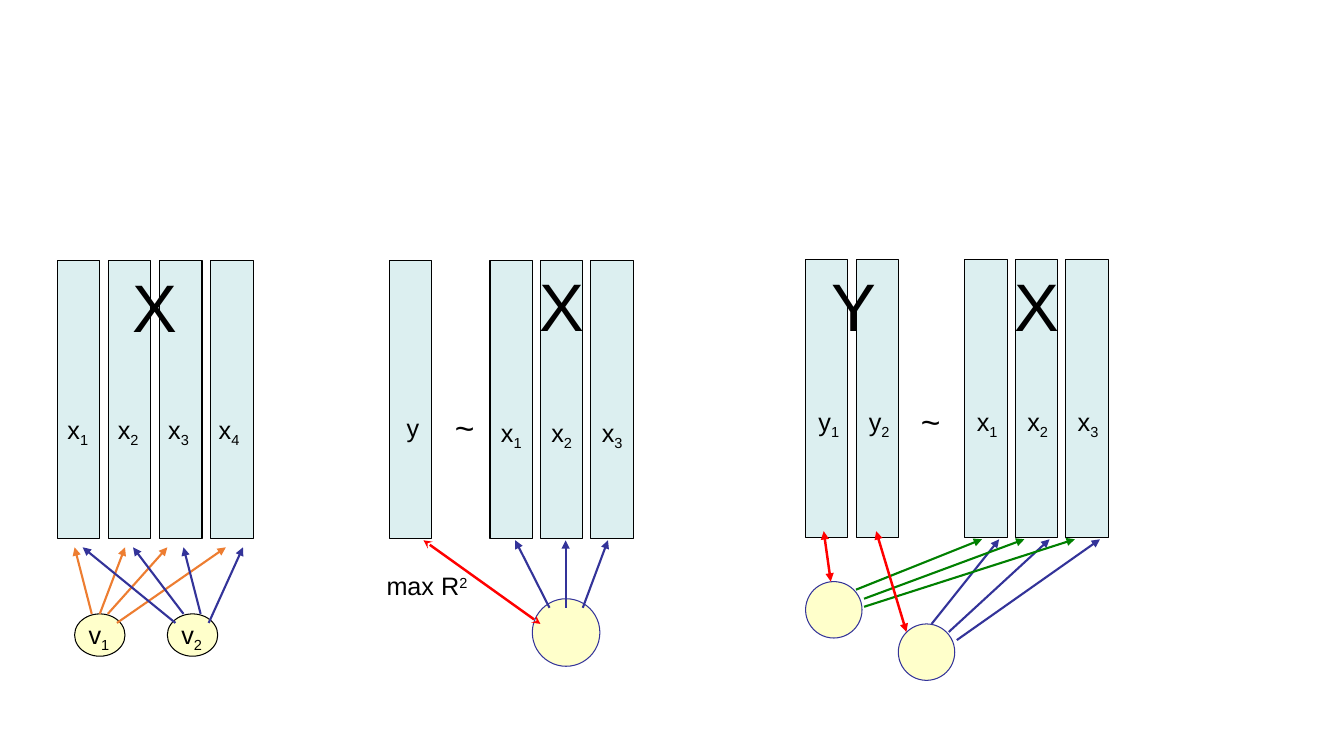
from lxml.etree import SubElement
from pptx import Presentation
from pptx.dml.color import RGBColor
from pptx.enum.shapes import MSO_CONNECTOR, MSO_SHAPE
from pptx.enum.text import MSO_AUTO_SIZE, PP_ALIGN
from pptx.oxml.ns import qn
from pptx.util import Inches, Pt

BLACK = RGBColor(0x00, 0x00, 0x00)
AQUA = RGBColor(0xBB, 0xE0, 0xE3)
YELLOW = RGBColor(0xFF, 0xFF, 0x99)
ORANGE = RGBColor(0xED, 0x7D, 0x31)
INDIGO = RGBColor(0x33, 0x33, 0x99)
RED = RGBColor(0xFF, 0x00, 0x00)
GREEN = RGBColor(0x00, 0x80, 0x00)

COLUMNS, ROWS = 133.3, 75
PITCH = 5
BAR_WIDTH, BAR_HEIGHT = 4.2, 27.6


class Diagram:
    font_name = "Arial"
    outline = Pt(0.75)
    opacity = "50000"

    def __init__(self, deck):
        self.column = deck.slide_width / COLUMNS
        self.row = deck.slide_height / ROWS
        self.page = deck.slides.add_slide(deck.slide_layouts[6])
        self.panel = None

    def start_panel(self):
        self.panel = self.page.shapes.add_group_shape().shapes

    def place(self, *lengths):
        units = (self.column, self.row) * 2
        return [round(length * unit) for length, unit in zip(lengths, units)]

    def solid(self, preset, area, fill_color, line_color):
        shape = self.panel.add_shape(preset, *self.place(*area))
        shape.shadow.inherit = False
        shape.fill.solid()
        shape.fill.fore_color.rgb = fill_color
        color = shape._element.spPr.find(qn("a:solidFill"))[0]
        SubElement(color, qn("a:alpha"), val=self.opacity)
        shape.line.color.rgb = line_color
        shape.line.width = self.outline

    def bars(self, left, top, count, pitch=PITCH):
        for index in range(count):
            area = (left + index * pitch, top, BAR_WIDTH, BAR_HEIGHT)
            self.solid(MSO_SHAPE.RECTANGLE, area, AQUA, BLACK)

    def node(self, left, top, width, height, line_color=INDIGO):
        self.solid(MSO_SHAPE.OVAL, (left, top, width, height), YELLOW, line_color)

    def text(self, area, wording, script="", baseline=-25, size=18,
             align=PP_ALIGN.CENTER, wrap=False):
        box = self.panel.add_textbox(*self.place(*area))
        frame = box.text_frame
        frame.word_wrap = wrap
        frame.auto_size = MSO_AUTO_SIZE.SHAPE_TO_FIT_TEXT
        para = frame.paragraphs[0]
        para.alignment = align
        for words, shift in ((wording, 0), (script, baseline)):
            if words:
                span = para.add_run()
                span.text = words
                span.font.name = self.font_name
                span.font.size = Pt(size)
                span.font.color.rgb = BLACK
                if shift:
                    span._r.get_or_add_rPr().set("baseline", str(shift * 1000))

    def variables(self, left, top, letter, count, pitch=PITCH, align=PP_ALIGN.LEFT):
        for index in range(count):
            area = (left + index * pitch, top, 4.2, 4)
            self.text(area, letter, str(index + 1), align=align)

    def matrix_name(self, left, top, letter, align=PP_ALIGN.CENTER):
        self.text((left, top, 6.5, 9), letter, size=48, align=align)

    def tilde(self, left, top):
        self.text((left, top, 4, 5), "~", size=24)

    def arrow(self, start, end, color, width=1.5, head=None, tail="triangle"):
        line = self.panel.add_connector(
            MSO_CONNECTOR.STRAIGHT, *self.place(*start, *end))
        line.line.color.rgb = color
        line.line.width = Pt(width)
        stroke = line.line._get_or_add_ln()
        for tag, kind in (("a:headEnd", head), ("a:tailEnd", tail)):
            if kind:
                SubElement(stroke, qn(tag), type=kind)
        SubElement(line._element.spPr, qn("a:effectLst"))

    def fan(self, starts, ends, level, color):
        for start, end in zip(starts, ends):
            self.arrow(start, (end, level), color)


def draw_components(diagram):
    diagram.start_panel()
    diagram.bars(5.7, 25.8, 4, pitch=5.07)
    diagram.variables(5.7, 40.6, "x", 4)
    diagram.matrix_name(12.2, 25.8, "X", PP_ALIGN.LEFT)
    for left in (7.4, 16.6):
        diagram.node(left, 60.9, 5, 4.2, BLACK)
    diagram.variables(7.8, 60.9, "v", 2, pitch=9.2)
    diagram.fan([(9.1, 60.9), (9.9, 60.9), (10.7, 60.9), (11.6, 61.8)],
                (7.4, 12.4, 16.6, 22.4), 54.3, ORANGE)
    diagram.fan([(17.4, 61.8), (18.2, 60.9), (19.9, 60.9), (20.7, 61.8)],
                (8.2, 13.2, 18.2, 24.1), 54.3, INDIGO)


def draw_regression(diagram):
    diagram.start_panel()
    diagram.bars(48.6, 25.8, 3)
    diagram.variables(48.7, 40.9, "x", 3)
    diagram.bars(38.6, 25.8, 1)
    diagram.text((39.3, 40.4, 3.3, 4), "y")
    diagram.node(52.8, 59.4, 6.7, 6.7)
    diagram.fan([(54.5, 60.3), (56.1, 60.3), (57.8, 60.3)],
                (51.1, 56.1, 60.3), 53.6, INDIGO)
    diagram.arrow((42, 53.6), (53.6, 61.9), RED, 1.75, "stealth", "stealth")
    diagram.text((36.1, 56.1, 12.5, 4), "max R", "2", baseline=30, wrap=True)
    diagram.matrix_name(52.5, 25.7, "X")
    diagram.tilde(44.1, 39.9)


def draw_two_blocks(diagram):
    diagram.start_panel()
    diagram.bars(95.7, 25.7, 3)
    diagram.variables(95.9, 39.8, "x", 3)
    diagram.bars(79.9, 25.7, 2)
    diagram.variables(80.1, 39.8, "y", 2, align=PP_ALIGN.CENTER)
    diagram.node(79.9, 57.7, 5.6, 5.6)
    diagram.node(89.1, 61.9, 5.6, 5.6)
    diagram.fan([(92.4, 61.9), (94.1, 62.7), (94.9, 63.5)],
                (99.1, 104.1, 109.1), 53.5, INDIGO)
    diagram.fan([(84.9, 58.5), (85.7, 59.4), (85.7, 60.2)],
                (97.4, 101.6, 106.6), 53.5, GREEN)
    for start, end in (((81.7, 52.7), (82.4, 57.7)), ((86.9, 52.7), (89.9, 62.7))):
        diagram.arrow(start, end, RED, 1.75, "triangle")
    diagram.matrix_name(99.6, 25.7, "X")
    diagram.matrix_name(81.4, 25.7, "Y")
    diagram.tilde(90.3, 39.3)


def main():
    deck = Presentation()
    deck.slide_width = Inches(13.33)
    deck.slide_height = Inches(7.5)
    diagram = Diagram(deck)
    draw_components(diagram)
    draw_regression(diagram)
    draw_two_blocks(diagram)
    deck.save("out.pptx")


if __name__ == "__main__":
    main()
